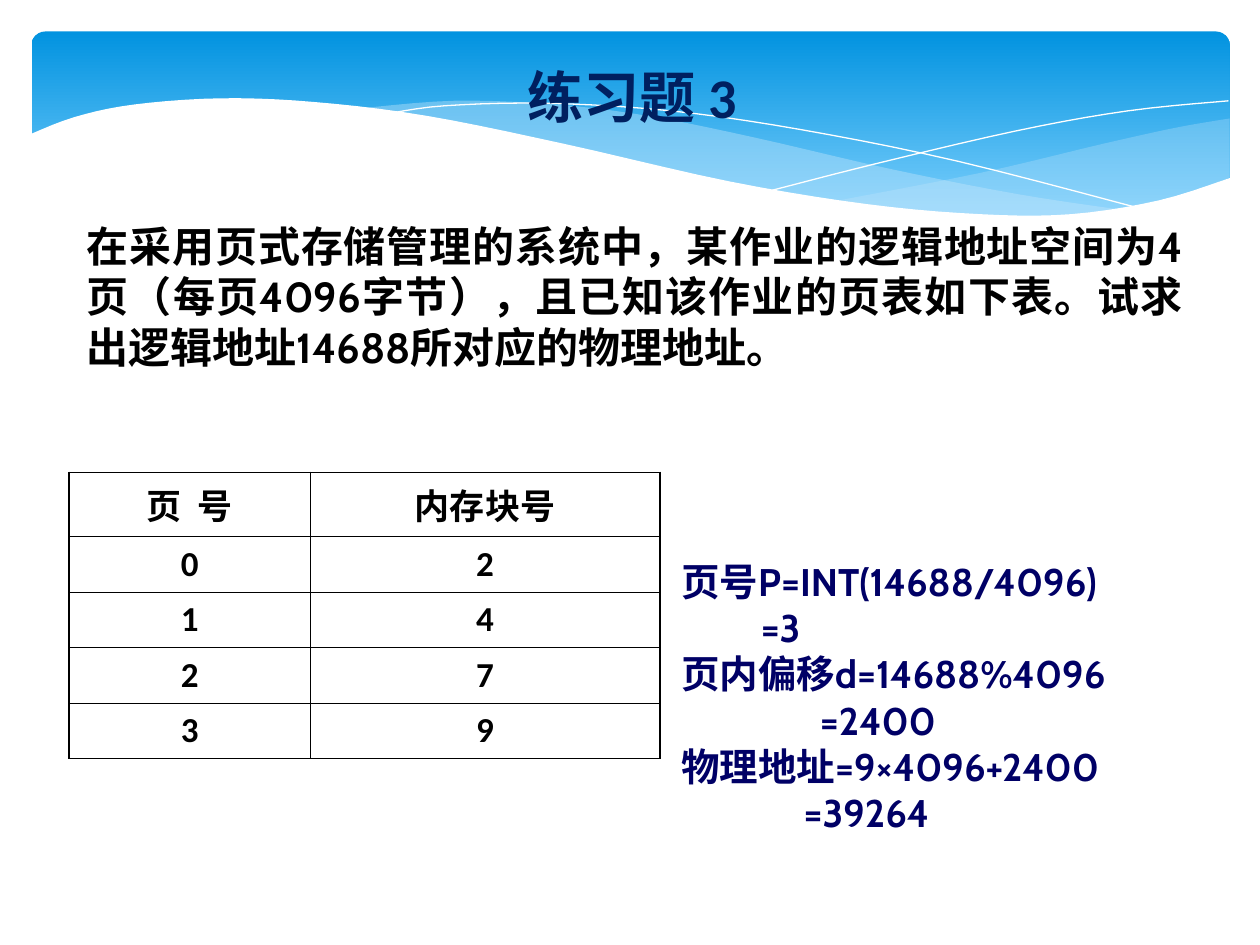
from pptx import Presentation
from pptx.dml.color import RGBColor
from pptx.enum.shapes import MSO_SHAPE
from pptx.enum.text import MSO_ANCHOR, PP_ALIGN
from pptx.oxml.ns import qn
from pptx.util import Inches, Pt
from lxml.etree import SubElement

# The slide is a grid of 100 columns by 75 rows; lengths count its cells.
CELL = Inches(0.1)
COLS, ROWS = 100, 75

BLACK = RGBColor(0x00, 0x00, 0x00)
WHITE = RGBColor(0xFF, 0xFF, 0xFF)
NAVY = RGBColor(0x00, 0x20, 0x60)
INDIGO = RGBColor(0x00, 0x00, 0x66)
BLUE = RGBColor(0x02, 0x93, 0xE0)
SKY = RGBColor(0x83, 0xD3, 0xFE)
MIST = RGBColor(0xC6, 0xE7, 0xFC)

TITLE = {"size": Pt(32), "name": "Calibri", "bold": True}
TASK = {"size": Pt(24), "bold": True}
WORK = {"size": Pt(22), "name": "Cabin", "bold": True}
GRID = {"size": Pt(20), "name": "Calibri", "bold": True}

QUESTION = [
    ("在采用页式存储管理的系统中，某作业的逻辑地址空间为", "Times New Roman"),
    ("4", "Cabin"),
    ("页（每页", "Times New Roman"),
    ("4096", "Cabin"),
    ("字节），且已知该作业的页表如下表。试求出逻辑地址", "Times New Roman"),
    ("14688", "Cabin"),
    ("所对应的物理地址。", "Times New Roman"),
]
# Each line of the answer with its indent
ANSWER = [
    ("页号P=INT(14688/4096)", 0),
    ("=3", 6.3),
    ("页内偏移d=14688%4096", 0),
    ("=2400", 11),
    ("物理地址=9×4096+2400", 0),
    ("=39264", 9.7),
]
PAGES = [("页  号", "内存块号"), ("0", "2"), ("1", "4"), ("2", "7"), ("3", "9")]

RIGHT_TOP = [(97.6, 9.4), (93.5, 10.1), (87.6, 11.4), (77.9, 13.7), (66.1, 16)]
RIGHT_LOW = [(66.1, 16), (73.2, 16.8), (81.4, 17.2), (87.2, 16.9),
             (92.8, 15.8), (97.6, 14.1)]
MID_TOP = [(89.3, 16.7), (80.7, 15.4), (70.6, 13.4), (59.8, 10.9),
           (51.4, 9.2), (44.1, 8.3), (36.1, 8), (28.6, 8.6)]
MID_LOW = [(28.6, 8.6), (36.2, 9.7), (44.9, 11.6), (56.6, 14.3), (65, 15.8),
           (73.6, 16.9), (81.8, 17.3), (89.3, 16.7)]
LONG_LINE = [(30.9, 9), (35.3, 8.4), (43.3, 8.2), (53.2, 8.8), (63.6, 10.3),
             (76, 12.8), (90.7, 16.6)]
SHORT_LINE = [(61.3, 15.1), (69.5, 13), (80.6, 10.4), (89.5, 8.8), (97.5, 8)]
CREST = [(97.7, 14.1), (92, 15.9), (85, 17), (77.8, 17), (68.8, 16.2),
         (57.9, 14.4), (44.7, 11.4), (33.9, 9.2), (25, 8.1), (17.6, 7.8),
         (10.6, 8.3), (5.9, 9.3), (2.3, 10.7)]


def span(*cells):
    return [round(c * CELL) for c in cells]


def style(font, look, color):
    for key, value in look.items():
        setattr(font, key, value)
    font.color.rgb = color


def curve(knots, steps=5):
    """Points of a smooth (Catmull-Rom) curve through the knots."""
    ends = [knots[0], *knots, knots[-1]]
    points = [knots[0]]
    for a, b, c, d in zip(ends, ends[1:], ends[2:], ends[3:]):
        for t in (i / steps for i in range(1, steps + 1)):
            points.append(tuple(
                (2 * q + (r - p) * t + (2 * p - 5 * q + 4 * r - s) * t ** 2
                 + (3 * q - p - 3 * r + s) * t ** 3) / 2
                for p, q, r, s in zip(a, b, c, d)))
    return points


def trace(slide, points, closed):
    first, *rest = [span(*point) for point in points]
    pen = slide.shapes.build_freeform(*first)
    pen.add_line_segments(rest, close=closed)
    shape = pen.convert_to_shape()
    shape.shadow.inherit = False
    return shape


def wave(slide, points, color, alpha=100):
    shape = trace(slide, points, True)
    shape.fill.solid()
    shape.fill.fore_color.rgb = color
    shape.line.fill.background()
    tint = shape.fill._xPr.find(qn("a:solidFill"))[0]
    SubElement(tint, qn("a:alpha"), val=str(alpha * 1000))


def strand(slide, knots):
    shape = trace(slide, curve(knots), False)
    shape.fill.background()
    shape.line.color.rgb = WHITE
    shape.line.width = Pt(0)


def banner(slide):
    shape = slide.shapes.add_shape(
        MSO_SHAPE.ROUNDED_RECTANGLE, *span(2.5, 2.5, 95.1, 15.6))
    shape.adjustments[0] = 0.07
    shape.shadow.inherit = False
    shape.line.fill.background()
    shape.fill.gradient()
    shape.fill.gradient_angle = 270
    for stop, color, place in zip(shape.fill.gradient_stops, (BLUE, SKY), (0, 1)):
        stop.color.rgb = color
        stop.position = place
    wave(slide, curve(RIGHT_TOP) + curve(RIGHT_LOW), MIST, 29)
    wave(slide, curve(MID_TOP) + curve(MID_LOW), MIST, 40)
    strand(slide, LONG_LINE)
    strand(slide, SHORT_LINE)
    wave(slide, curve(CREST) + [(2.3, 22.4), (97.7, 22.4)], WHITE)


def text_box(slide, *cells):
    frame = slide.shapes.add_textbox(*span(*cells)).text_frame
    frame.word_wrap = True
    return frame


def heading(slide):
    frame = text_box(slide, 5.1, 6.2, 90.1, 2.8)
    frame.vertical_anchor = MSO_ANCHOR.MIDDLE
    para = frame.paragraphs[0]
    para.text = "练习题 3"
    para.alignment = PP_ALIGN.CENTER
    style(para.runs[0].font, TITLE, NAVY)


def question(slide):
    para = text_box(slide, 5.9, 17, 89, 13).paragraphs[0]
    para.alignment = PP_ALIGN.JUSTIFY
    for words, name in QUESTION:
        run = para.add_run()
        run.text = words
        style(run.font, {**TASK, "name": name}, BLACK)


def answer(slide):
    frame = text_box(slide, 53.1, 43.8, 43.4, 23)
    for i, (words, indent) in enumerate(ANSWER):
        para = frame.add_paragraph() if i else frame.paragraphs[0]
        para.text = words
        para._p.get_or_add_pPr().set("marL", str(span(indent)[0]))
        style(para.runs[0].font, WORK, INDIGO)


def border(cell, sides):
    """Draw the cell's edges; sides maps an edge to whether it is outer."""
    props = cell._tc.get_or_add_tcPr()
    for side, outer in sides.items():
        width = Pt(1.08 if outer else 0.45)
        line = SubElement(props, qn(f"a:ln{side}"), w=str(width))
        fill = SubElement(line, qn("a:solidFill"))
        SubElement(fill, qn("a:srgbClr"), val=str(BLACK))


def page_table(slide):
    rows, cols = len(PAGES), len(PAGES[0])
    table = slide.shapes.add_table(
        rows, cols, *span(5.5, 37.5, 46.9, 22.7)).table
    table.first_row = table.horz_banding = False
    for col, width in zip(table.columns, span(19.1, 27.8)):
        col.width = width
    for row, height in zip(table.rows, span(5.1, *[4.4] * (rows - 1))):
        row.height = height
    for r, line in enumerate(PAGES):
        for c, words in enumerate(line):
            cell = table.cell(r, c)
            border(cell, {"L": c == 0, "R": c == cols - 1,
                          "T": r == 0, "B": r == rows - 1})
            cell.fill.background()
            cell.vertical_anchor = MSO_ANCHOR.MIDDLE
            para = cell.text_frame.paragraphs[0]
            para.text = words
            para.alignment = PP_ALIGN.CENTER
            style(para.runs[0].font, GRID, BLACK)


def main():
    deck = Presentation()
    deck.slide_width, deck.slide_height = span(COLS, ROWS)
    slide = deck.slides.add_slide(deck.slide_layouts[6])
    for draw in (banner, heading, page_table, answer, question):
        draw(slide)
    deck.save("out.pptx")


if __name__ == "__main__":
    main()
